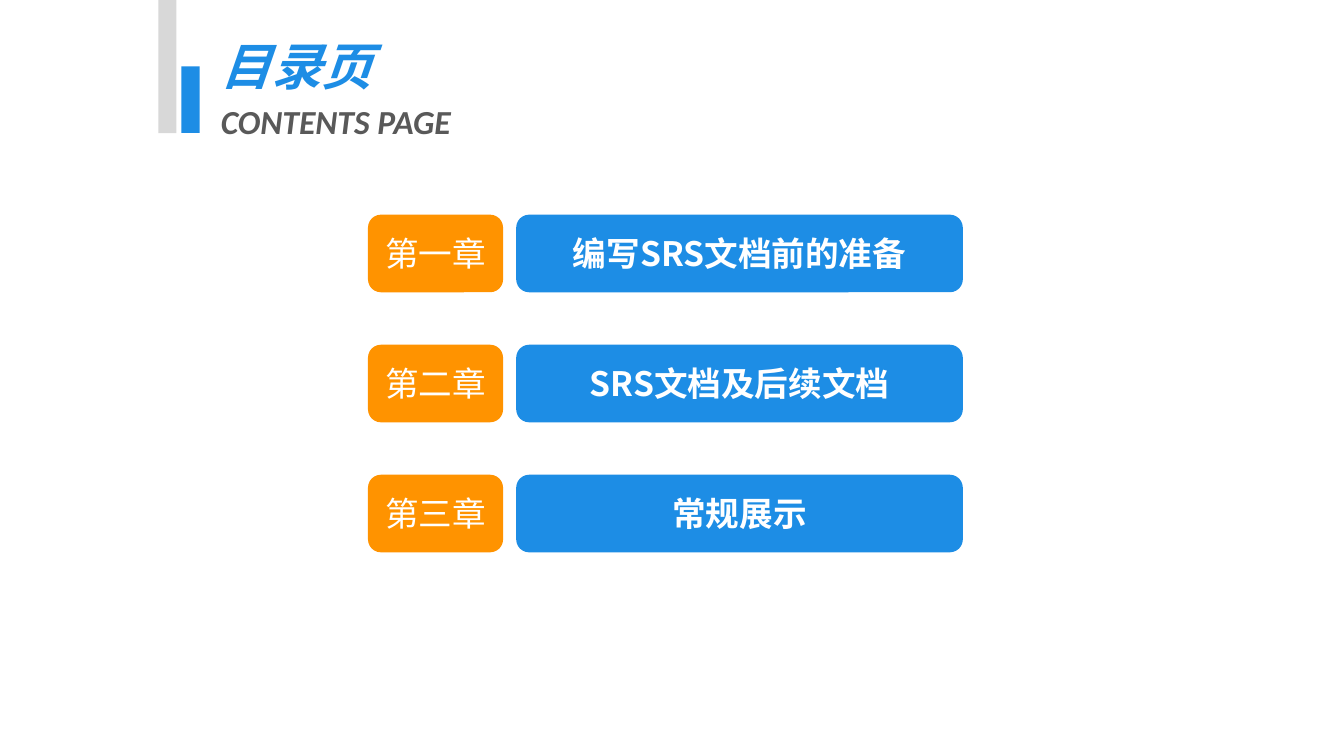
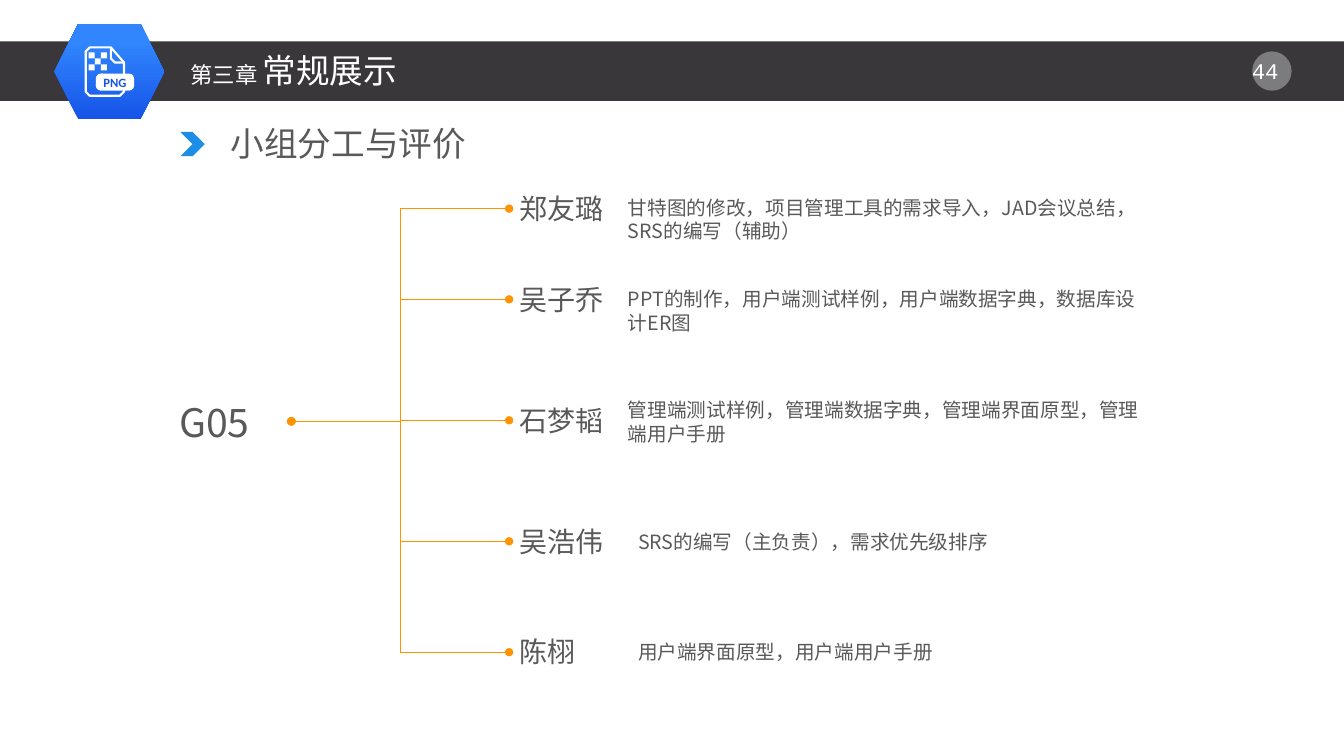
"""Build a contents slide and a slide on how group G05 shared its work."""
from pptx import Presentation
from pptx import util as u
from pptx.dml.color import RGBColor
from pptx.enum import shapes, text
from pptx.oxml.ns import qn
from lxml import etree

COLORS = {
    "blue": "1D8DE5", "orange": "FF9300", "gray": "595959", "light": "D8D8D8",
    "dark": "39373A", "white": "FFFFFF", "badge_low": "1654E7", "badge_high": "3185FD",
}
FONT = "Noto Sans CJK SC"
SHAPE = shapes.MSO_SHAPE
TOP, MIDDLE = text.MSO_ANCHOR.TOP, text.MSO_ANCHOR.MIDDLE
LEFT, CENTER = text.PP_ALIGN.LEFT, text.PP_ALIGN.CENTER


def write(shape, words, size=14, color="gray", font=FONT, bold=False, italic=False,
          align=LEFT, anchor=TOP, inset=None, spacing=None, new_paragraph=False):
    frame = shape.text_frame
    frame.word_wrap = True
    frame.auto_size = text.MSO_AUTO_SIZE.NONE
    frame.vertical_anchor = anchor
    if inset is not None:
        frame.margin_left = frame.margin_right = u.Inches(inset)
        frame.margin_top = frame.margin_bottom = u.Inches(inset)
    paragraph = frame.add_paragraph() if new_paragraph else frame.paragraphs[-1]
    paragraph.alignment = align
    paragraph.line_spacing = spacing
    run = paragraph.add_run()
    run.text = words
    run.font.size = u.Pt(size)
    run.font.bold, run.font.italic = bold, italic
    run.font.color.rgb = RGBColor.from_string(COLORS[color])
    run.font.name = font
    etree.SubElement(run.font._element, qn("a:ea"), typeface=font)


def add_block(slide, kind, left, top, width, height, color=None):
    box = [u.Inches(length) for length in (left, top, width, height)]
    if kind is None:
        return slide.shapes.add_textbox(*box)
    shape = slide.shapes.add_shape(kind, *box)
    shape.shadow.inherit = False
    shape.line.fill.background()
    if color:
        shape.fill.solid()
        shape.fill.fore_color.rgb = RGBColor.from_string(COLORS[color])
    return shape


presentation = Presentation()
presentation.slide_width, presentation.slide_height = u.Inches(13.33), u.Inches(7.5)
title_only = presentation.slide_layouts[5]

slides = []
for left, top, width, height in [(2.09, 0.23, 3.61, 1.21), (1.79, 0.44, 5.59, 0.5)]:
    slide = presentation.slides.add_slide(title_only)
    title = slide.shapes.title
    title.left, title.top = u.Inches(left), u.Inches(top)
    title.width, title.height = u.Inches(width), u.Inches(height)
    slides.append(slide)
contents, division = slides

add_block(contents, SHAPE.RECTANGLE, 1.57, 0, 0.18, 1.32, "light")
add_block(contents, SHAPE.RECTANGLE, 1.8, 0.66, 0.18, 0.66, "blue")
heading = dict(bold=True, italic=True, spacing=1.12)
write(contents.shapes.title, "目录页", size=36, color="blue", **heading)
write(contents.shapes.title, "CONTENTS PAGE", size=24, font="Calibri",
      new_paragraph=True, **heading)

chapters = [("第一章", "编写SRS文档前的准备"), ("第二章", "SRS文档及后续文档"), ("第三章", "常规展示")]
for row, (number, name) in enumerate(chapters):
    top = 2.13 + 1.29 * row
    for words, left, width, color, bold in [(name, 5.12, 4.43, "blue", True),
                                            (number, 3.65, 1.34, "orange", False)]:
        button = add_block(contents, SHAPE.ROUNDED_RECTANGLE, left, top, width, 0.77, color)
        write(button, words, size=24, color="white", bold=bold,
              align=CENTER, anchor=MIDDLE, inset=0)

add_block(division, SHAPE.RECTANGLE, 0, 0.41, 13.33, 0.59, "dark")
disc = add_block(division, SHAPE.OVAL, 12.42, 0.51, 0.39, 0.39, "white")
disc_color = disc.element.spPr.find(qn("a:solidFill"))[0]
etree.SubElement(disc_color, qn("a:alpha"), val="34000")
page_number = add_block(division, None, 12.26, 0.52, 0.71, 0.37)
write(page_number, "44 ", size=16, color="white", font="Courier New", align=CENTER)

badge = add_block(division, SHAPE.HEXAGON, 0.54, 0.24, 1.09, 0.94)
badge.fill.gradient()
badge.fill.gradient_angle = 90
for stop, position, color in zip(badge.fill.gradient_stops, (0, 0.8), ("badge_low", "badge_high")):
    stop.position = position
    stop.color.rgb = RGBColor.from_string(COLORS[color])

page_outline = [(1.1, 0.47), (0.89, 0.47), (0.85, 0.51), (0.85, 0.91), (0.89, 0.95),
                (1.19, 0.95), (1.23, 0.91), (1.23, 0.62), (1.1, 0.47)]
page_fold = [(1.1, 0.47), (1.1, 0.58), (1.14, 0.62), (1.23, 0.62)]
for points in (page_outline, page_fold):
    corners = [(u.Inches(x), u.Inches(y)) for x, y in points]
    builder = division.shapes.build_freeform(*corners[0])
    builder.add_line_segments(corners[1:], close=False)
    outline = builder.convert_to_shape()
    outline.shadow.inherit = False
    outline.fill.background()
    outline.line.color.rgb = RGBColor.from_string(COLORS["white"])
    outline.line.width = u.Pt(1.5)
for cell in range(0, 9, 2):
    row, column = divmod(cell, 3)
    add_block(division, SHAPE.RECTANGLE, 0.88 + 0.06 * column, 0.52 + 0.06 * row,
              0.06, 0.06, "white")
file_type = add_block(division, SHAPE.ROUNDED_RECTANGLE, 0.95, 0.73, 0.38, 0.17, "white")
file_type.adjustments[0] = 0.3
write(file_type, "PNG", size=9, color="badge_low", font="Calibri", bold=True,
      align=CENTER, anchor=MIDDLE, inset=0)

title = division.shapes.title
title.element.getparent().append(title.element)
write(title, "第三章 ", size=16, color="white", anchor=MIDDLE)
write(title, "常规展示", size=24, color="white", anchor=MIDDLE)

add_block(division, SHAPE.CHEVRON, 1.79, 1.31, 0.24, 0.24, "blue")
write(add_block(division, None, 2.19, 1.17, 3.76, 0.5), "小组分工与评价", size=24)
write(add_block(division, None, 1.68, 3.9, 1.03, 0.57), "G05", size=28)

members = [
    ("郑友璐", 1.85, 6.13, 1.89, "甘特图的修改，项目管理工具的需求导入，JAD会议总结， SRS的编写（辅助）"),
    ("吴子乔", 2.75, 6.13, 2.8, "PPT的制作，用户端测试样例，用户端数据字典，数据库设计ER图"),
    ("石梦韬", 3.95, 6.13, 3.9, "管理端测试样例，管理端数据字典，管理端界面原型，管理端用户手册"),
    ("吴浩伟", 5.15, 6.23, 5.21, "SRS的编写（主负责），需求优先级排序"),
    ("陈栩", 6.25, 6.23, 6.3, "用户端界面原型，用户端用户手册"),
]
for name, name_top, task_left, task_top, task in members:
    branch = division.shapes.add_connector(
        shapes.MSO_CONNECTOR.ELBOW, u.Inches(2.89), u.Inches(4.18),
        u.Inches(5.05), u.Inches(name_top + 0.22))
    branch.line.color.rgb = RGBColor.from_string(COLORS["orange"])
    branch.line.width = u.Pt(0.5)
    line = branch.line._get_or_add_ln()
    for end in ("a:headEnd", "a:tailEnd"):
        etree.SubElement(line, qn(end), type="oval")
    etree.SubElement(branch.element.spPr, qn("a:effectLst"))
    write(add_block(division, None, 5.05, name_top, 1.52, 0.44), name, size=20)
    write(add_block(division, None, task_left, task_top, 5.42, 0.57), task)

presentation.save("out.pptx")
